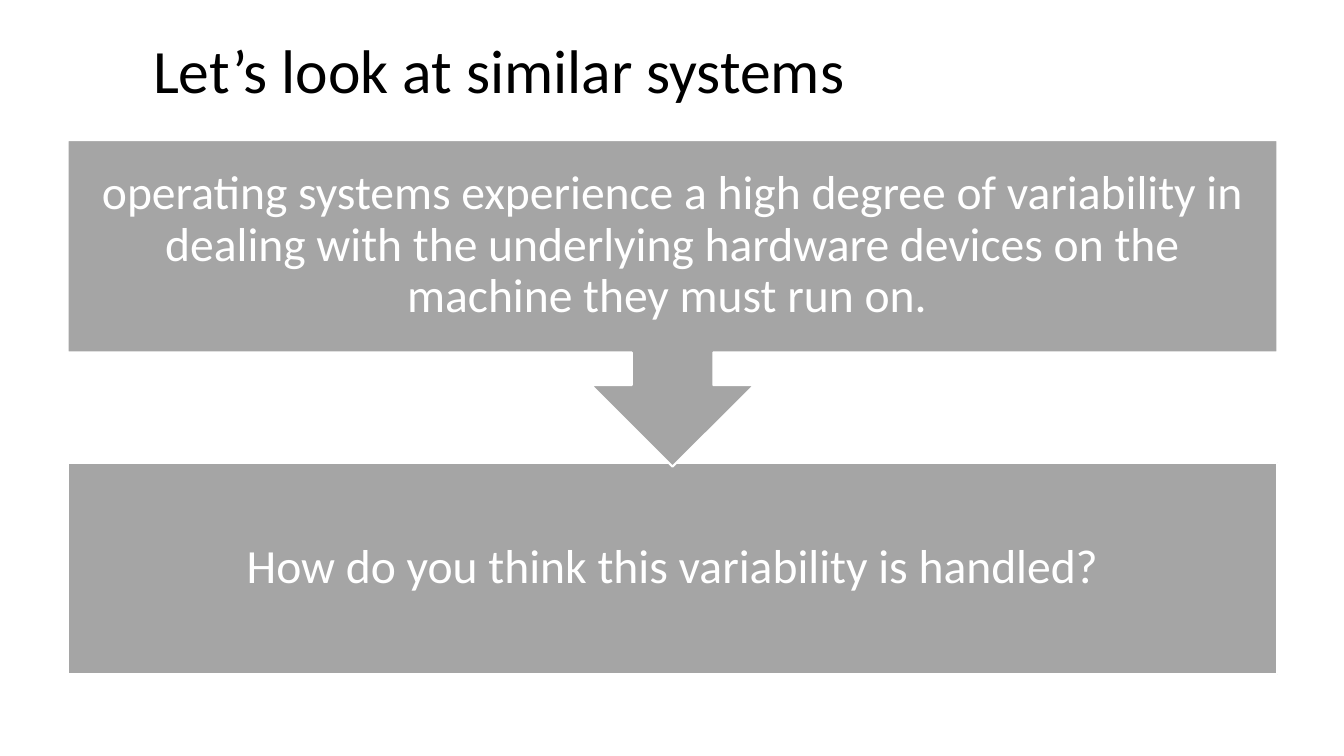
"""Build a slide that leads from operating system variability to a question."""
from pptx import Presentation
from pptx.dml.color import RGBColor
from pptx.enum.shapes import MSO_SHAPE
from pptx.enum.text import MSO_ANCHOR, PP_ALIGN
from pptx.util import Inches, Pt

RECTANGLE = MSO_SHAPE.RECTANGLE
ARROW_CALLOUT = MSO_SHAPE.UP_ARROW_CALLOUT
MIDDLE = MSO_ANCHOR.MIDDLE
LEFT = PP_ALIGN.LEFT
CENTER = PP_ALIGN.CENTER


def color(hex_code):
    return RGBColor.from_string(hex_code)


class SlideBuilder:
    font = "Calibri"
    title_color = "000000"
    panel_color = "A5A5A5"
    light = "FFFFFF"

    def __init__(self, slide):
        self.slide = slide

    def set_text(self, frame, text, size, ink, align):
        frame.word_wrap = True
        frame.vertical_anchor = MIDDLE
        frame.text = text
        paragraph = frame.paragraphs[0]
        paragraph.alignment = align
        paragraph.line_spacing = 0.9
        for run in paragraph.runs:
            run.font.name = self.font
            run.font.size = Pt(size)
            run.font.color.rgb = color(ink)

    def title(self, text, left, top, width, height):
        heading = self.slide.shapes.add_textbox(
            Inches(left), Inches(top), Inches(width), Inches(height))
        self.set_text(heading.text_frame, text, 44, self.title_color, LEFT)

    def panel(self, kind, left, top, width, height, rotation=0):
        panel = self.slide.shapes.add_shape(
            kind, Inches(left), Inches(top), Inches(width), Inches(height))
        panel.rotation = rotation
        panel.shadow.inherit = False
        panel.fill.solid()
        panel.fill.fore_color.rgb = color(self.panel_color)
        panel.line.color.rgb = color(self.light)
        panel.line.width = Pt(1.5)
        return panel

    def statement(self, frame, text):
        frame.margin_left = frame.margin_right = Inches(0.26)
        frame.margin_top = frame.margin_bottom = Inches(0.26)
        self.set_text(frame, text, 34, self.light, CENTER)

    def question_panel(self, text, left, top, width, height):
        question = self.panel(RECTANGLE, left, top, width, height)
        self.statement(question.text_frame, text)

    def premise_panel(self, text, left, top, width, height, body_height):
        self.panel(ARROW_CALLOUT, left, top, width, height, rotation=180)
        premise = self.slide.shapes.add_textbox(
            Inches(left), Inches(top), Inches(width), Inches(body_height))
        self.statement(premise.text_frame, text)


def main():
    presentation = Presentation()
    presentation.slide_width = Inches(13.33)
    presentation.slide_height = Inches(7.5)
    builder = SlideBuilder(
        presentation.slides.add_slide(presentation.slide_layouts[6]))

    panel_left, panel_width, body_height = 0.67, 12, 2.1
    builder.title("Let’s look at similar systems", 1.42, 0.3, 11.25, 0.85)
    builder.question_panel(
        "How do you think this variability is handled?",
        panel_left, 4.59, panel_width, body_height)
    builder.premise_panel(
        "operating systems experience a high degree of variability in dealing "
        "with the underlying hardware devices on the machine they must run on. ",
        panel_left, 1.39, panel_width, 3.24, body_height)

    presentation.save("out.pptx")


if __name__ == "__main__":
    main()
